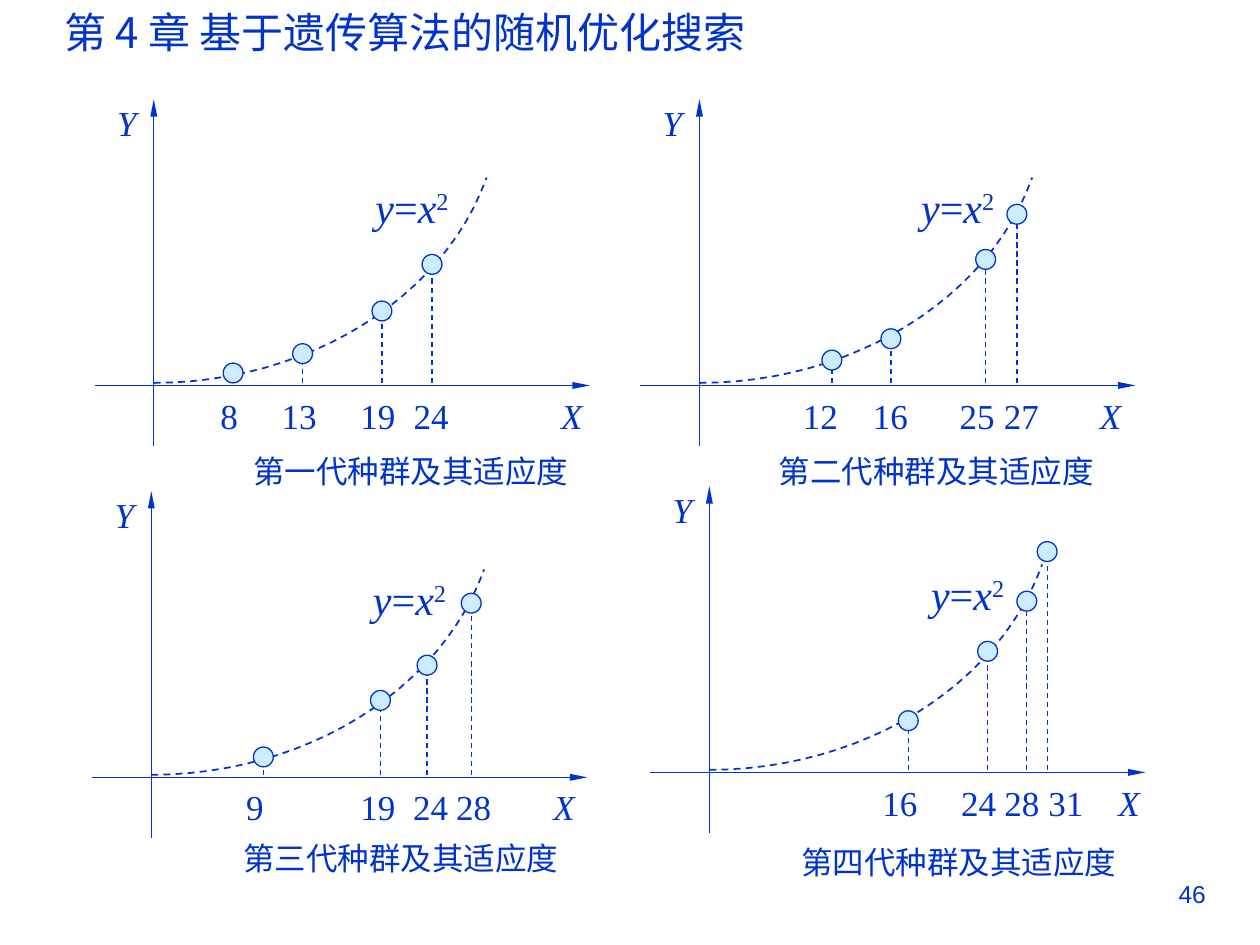
from lxml.etree import SubElement
from pptx import Presentation
from pptx.dml.color import RGBColor
from pptx.enum.dml import MSO_LINE
from pptx.enum.shapes import MSO_CONNECTOR, MSO_SHAPE
from pptx.enum.text import MSO_ANCHOR, MSO_AUTO_SIZE, PP_ALIGN
from pptx.oxml.ns import qn
from pptx.util import Cm, Pt

BLUE = "0033CC"
PALE_BLUE = "CCECFF"
SERIF = "Times New Roman"
CHINESE = "Noto Sans CJK SC"
RADIUS = 0.2
BASELINE = -0.05
CURVE = [(0, BASELINE), (3.1, BASELINE), (5.84, -1.75), (6.71, -4.19)]
CURVE_STEPS = 24


def style_run(run, size, font_name, italic=False):
    run.font.size = Pt(size)
    run.font.name = font_name
    run.font.italic = italic
    run.font.color.rgb = RGBColor.from_string(BLUE)
    SubElement(run.font._element, qn("a:ea"), typeface=CHINESE)


def add_line(start_x, start_y, end_x, end_y, dashed=False):
    connector = slide.shapes.add_connector(
        MSO_CONNECTOR.STRAIGHT, Cm(start_x), Cm(start_y), Cm(end_x), Cm(end_y))
    connector.line.color.rgb = RGBColor.from_string(BLUE)
    connector.line.width = Pt(0.75)
    if dashed:
        connector.line.dash_style = MSO_LINE.DASH
    else:
        SubElement(connector.line._get_or_add_ln(), qn("a:tailEnd"),
                   type="triangle", w="sm", len="lg")
    SubElement(connector._element.spPr, qn("a:effectLst"))


presentation = Presentation()
presentation.slide_width = Cm(25.4)
presentation.slide_height = Cm(19.05)
slide = presentation.slides.add_slide(presentation.slide_layouts[5])

title = slide.shapes.title
title.left, title.top, title.width, title.height = Cm(1.04), Cm(0), Cm(14.83), Cm(1.27)
title.text_frame.text = "第 4 章 基于遗传算法的随机优化搜索"
title.text_frame.word_wrap = False
title.text_frame.auto_size = MSO_AUTO_SIZE.NONE
title.text_frame.vertical_anchor = MSO_ANCHOR.TOP
title.text_frame.paragraphs[0].alignment = PP_ALIGN.LEFT
style_run(title.text_frame.paragraphs[0].runs[0], 24, CHINESE)

# Each point: label, label centre, dot x, dot y, measured from the axes' origin.
panels = [
    {"origin": (3.1, 7.77), "caption": "第一代种群及其适应度", "caption_at": (2.01, 1.35),
     "labels_at": (0.41, 9.4), "x_name_at": 8.43,
     "points": [("8", 1.52, 1.6, -0.25), ("13", 2.93, 3, -0.64),
                ("19", 4.52, 4.6, -1.5), ("24", 5.59, 5.61, -2.44)]},
    {"origin": (14.1, 7.77), "caption": "第二代种群及其适应度", "caption_at": (1.6, 1.35),
     "labels_at": (0.61, 9.19), "x_name_at": 8.29,
     "points": [("12", 2.44, 2.67, -0.51), ("16", 3.85, 3.86, -0.94),
                ("25", 5.6, 5.77, -2.54), ("27", 6.49, 6.4, -3.45)]},
    {"origin": (3.05, 15.67), "caption": "第三代种群及其适应度", "caption_at": (1.85, 1.24),
     "labels_at": (0.46, 8.61), "x_name_at": 8.32,
     "points": [("9", 2.09, 2.26, -0.41), ("19", 4.57, 4.62, -1.55),
                ("24", 5.63, 5.56, -2.26), ("28", 6.5, 6.45, -3.51)]},
    {"origin": (14.3, 15.57), "caption": "第四代种群及其适应度", "caption_at": (1.85, 1.42),
     "labels_at": (0.61, 8.71), "x_name_at": 8.46,
     "points": [("16", 3.84, 4.01, -1.04), ("24", 5.43, 5.61, -2.44),
                ("28", 6.3, 6.4, -3.45), ("31", 7.19, 6.81, -4.45)]},
]

texts = [((18.21, 17.6, 6.35, 1.32), [("46", False)], 14, "Arial", [])]

for panel in panels:
    origin_x, origin_y = panel["origin"]
    add_line(origin_x - 1.19, origin_y, origin_x + 8.79, origin_y)
    add_line(origin_x, origin_y + 1.22, origin_x, origin_y - 5.77)

    curve_points = []
    for step in range(CURVE_STEPS + 1):
        t = step / CURVE_STEPS
        weights = [(1 - t) ** 3, 3 * t * (1 - t) ** 2, 3 * t ** 2 * (1 - t), t ** 3]
        x = sum(weight * point[0] for weight, point in zip(weights, CURVE))
        y = sum(weight * point[1] for weight, point in zip(weights, CURVE))
        curve_points.append((Cm(origin_x + x), Cm(origin_y + y)))
    builder = slide.shapes.build_freeform(*curve_points[0])
    builder.add_line_segments(curve_points[1:], close=False)
    curve = builder.convert_to_shape()
    curve.shadow.inherit = False
    curve.fill.background()
    curve.line.color.rgb = RGBColor.from_string(BLUE)
    curve.line.width = Pt(1)
    curve.line.dash_style = MSO_LINE.DASH

    for label, label_x, dot_x, dot_y in panel["points"]:
        x, y = origin_x + dot_x, origin_y + dot_y
        if dot_y < -2 * RADIUS:
            add_line(x, origin_y + BASELINE, x, y, dashed=True)
        dot = slide.shapes.add_shape(MSO_SHAPE.OVAL, Cm(x - RADIUS), Cm(y - RADIUS),
                                     Cm(2 * RADIUS), Cm(2 * RADIUS))
        dot.shadow.inherit = False
        dot.fill.solid()
        dot.fill.fore_color.rgb = RGBColor.from_string(PALE_BLUE)
        dot.line.color.rgb = RGBColor.from_string(BLUE)
        dot.line.width = Pt(0.75)

    labels_x, labels_width = panel["labels_at"]
    centres = [point[1] for point in panel["points"]] + [panel["x_name_at"]]
    tabs = [centre - labels_x - 0.25 for centre in centres]
    numbers = "".join("\t" + point[0] for point in panel["points"])
    caption_x, caption_y = panel["caption_at"]
    texts += [
        ((origin_x - 0.99, origin_y - 5.84, 0.79, 1.12), [("Y", True)], 20, SERIF, []),
        ((origin_x + 4.22, origin_y - 4.24, 2.21, 1.27),
         [("y", True), ("=", False), ("x", True), ("2", False)], 24, SERIF, []),
        ((origin_x + labels_x, origin_y + 0.05, labels_width, 1.12),
         [(numbers + "\t", False), ("X", True)], 20, SERIF, tabs),
        ((origin_x + caption_x, origin_y + caption_y, 6.81, 0.76),
         [(panel["caption"], False)], 18, "Arial", []),
    ]

for box, runs, size, font_name, tabs in texts:
    text_box = slide.shapes.add_textbox(*[Cm(length) for length in box])
    text_frame = text_box.text_frame
    text_frame.word_wrap = True
    paragraph = text_frame.paragraphs[0]
    for text, italic in runs:
        run = paragraph.add_run()
        run.text = text
        style_run(run, size, font_name, italic)
    if size == 24:
        run.font._element.set("baseline", "30000")
    if size == 18:
        text_frame.margin_left = text_frame.margin_right = Cm(0)
        text_frame.margin_top = text_frame.margin_bottom = Cm(0)
    if size == 14:
        paragraph.alignment = PP_ALIGN.RIGHT
    if tabs:
        tab_list = SubElement(paragraph._p.get_or_add_pPr(), qn("a:tabLst"))
        for position in tabs:
            SubElement(tab_list, qn("a:tab"), pos=str(Cm(position)), algn="ctr")

presentation.save("out.pptx")
